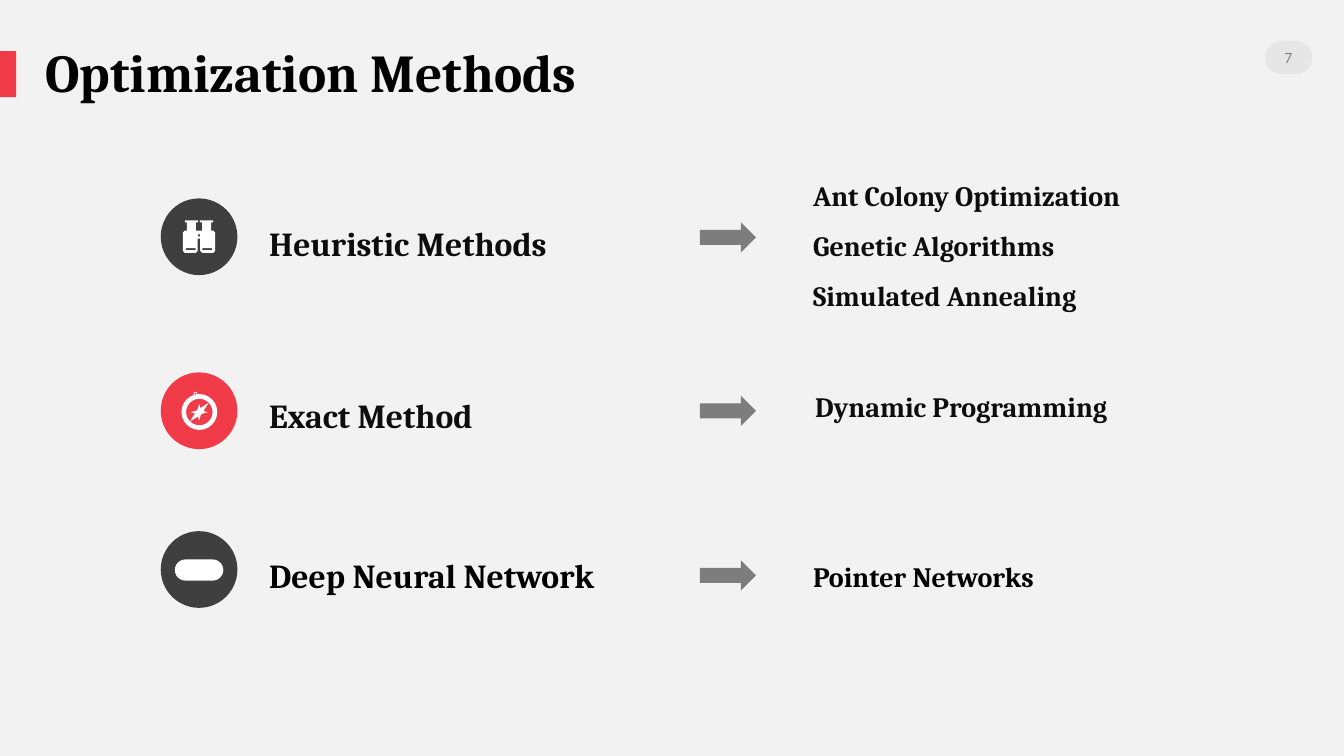
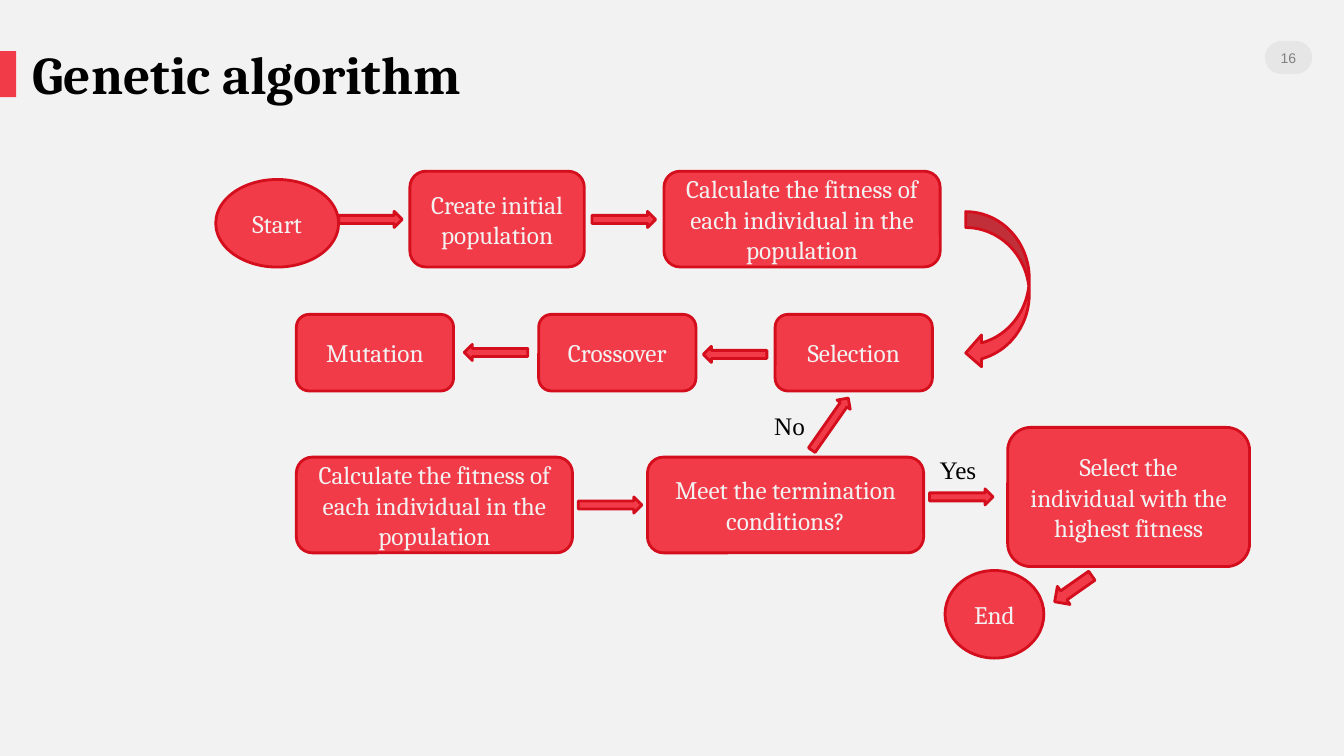
from dataclasses import dataclass

from lxml.etree import SubElement
from pptx import Presentation
from pptx.dml.color import RGBColor
from pptx.enum.shapes import MSO_SHAPE as KIND
from pptx.enum.text import MSO_ANCHOR, MSO_AUTO_SIZE, PP_ALIGN
from pptx.oxml.ns import qn
from pptx.util import Pt


@dataclass(frozen=True)
class Theme:
    paper: str = "F2F2F2"
    red: str = "F23B48"
    edge: str = "D40E1C"
    pill: str = "E7E6E6"
    dark: str = "3F3F3F"
    gray: str = "7D7D7D"
    mute: str = "808080"
    ink: str = "0D0D0D"
    black: str = "000000"
    white: str = "FFFFFF"
    serif: str = "Cambria"
    plain: str = "Times New Roman"
    head: int = 38
    label: int = 24
    item: int = 20
    node: int = 18
    note: int = 10


THEME = Theme()


def write(frame, text, size=THEME.node, font=THEME.serif, color=THEME.black,
          bold=False, align=PP_ALIGN.LEFT, anchor=MSO_ANCHOR.TOP,
          space=1.0, inset=(0, 0), list_off=False):
    frame.word_wrap = True
    frame.auto_size = MSO_AUTO_SIZE.NONE
    frame.vertical_anchor = anchor
    frame.margin_left = frame.margin_right = Pt(inset[0])
    frame.margin_top = frame.margin_bottom = Pt(inset[1])
    for i, line in enumerate(text.split("\n")):
        para = frame.add_paragraph() if i else frame.paragraphs[0]
        if list_off:
            props = para._p.get_or_add_pPr()
            props.set("marL", "0")
            props.set("indent", "0")
            SubElement(props, qn("a:buNone"))
        para.alignment = align
        para.line_spacing = space
        para.space_before = Pt(0)
        run = para.add_run()
        run.text = line
        run.font.size = Pt(size)
        run.font.name = font
        run.font.bold = bold
        run.font.color.rgb = RGBColor.from_string(color)


class Deck:
    """Build slides that share one theme."""

    def __init__(self, theme):
        self.theme = theme
        self.file = Presentation()
        self.file.slide_width, self.file.slide_height = Pt(960), Pt(540)
        self.slide = None

    def brand(self):
        master = self.file.slide_master
        fill = master.background.fill
        fill.solid()
        fill.fore_color.rgb = RGBColor.from_string(self.theme.paper)
        bar = self.shape(KIND.RECTANGLE, (0, 36.5, 11.5, 33), self.theme.red)
        pill = self.shape(KIND.ROUNDED_RECTANGLE, (903.6, 29.2, 33.8, 23.8),
                          self.theme.pill, adjust=0.5)
        for i, part in enumerate((bar, pill)):
            part.element.nvSpPr.cNvPr.set("id", str(50 + i))
            master.shapes.element.insert(2 + i, part.element)

    def page(self, layout, title, number, font, left, top):
        first = self.slide is None
        self.slide = self.file.slides.add_slide(self.file.slide_layouts[layout])
        if first:
            self.brand()
        head = self.slide.shapes.title
        self.place(head, (left, top, 816, 49))
        write(head.text_frame, title, size=self.theme.head, bold=True,
              space=0.9, inset=(3.6, 3.6))
        self.text((903.4, 29.4, 33.8, 23.8), number, size=self.theme.note,
                  font=font, color=self.theme.mute, align=PP_ALIGN.CENTER,
                  anchor=MSO_ANCHOR.MIDDLE)

    def place(self, shape, box):
        shape.left, shape.top, shape.width, shape.height = map(Pt, box)

    def text(self, box, text, **form):
        frame = self.slide.shapes.add_textbox(*map(Pt, box)).text_frame
        write(frame, text, **form)

    def list(self, box, text, **form):
        body = self.slide.placeholders[1]
        self.place(body, box)
        write(body.text_frame, text, list_off=True, **form)

    def paint(self, shape, fill, line=None, width=1):
        shape.shadow.inherit = False
        shape.fill.solid()
        shape.fill.fore_color.rgb = RGBColor.from_string(fill)
        if line:
            shape.line.color.rgb = RGBColor.from_string(line)
            shape.line.width = Pt(width)
        else:
            shape.line.fill.background()

    def shape(self, kind, box, fill, line=None, width=1, turn=0, adjust=None):
        shape = self.slide.shapes.add_shape(kind, *map(Pt, box))
        self.paint(shape, fill, line, width)
        shape.rotation = turn
        if adjust is not None:
            shape.adjustments[0] = adjust
        return shape

    def arrow(self, left, top):
        shape = self.shape(KIND.RIGHT_ARROW, (left, top, 38.9, 19.4),
                           self.theme.gray, self.theme.gray)
        edge = shape.element.spPr.find(qn("a:ln"))
        SubElement(edge, qn("a:miter")).set("lim", "800000")

    def trace(self, left, top, loops, fill):
        pen = None
        for loop in loops:
            spots = [(Pt(left + x), Pt(top + y)) for x, y in loop]
            if pen is None:
                pen = self.slide.shapes.build_freeform(*spots[0])
            else:
                pen.move_to(*spots[0])
            pen.add_line_segments(spots[1:], close=True)
        self.paint(pen.convert_to_shape(), fill)

    def flow(self, kind, box, turn=0):
        return self.shape(kind, box, self.theme.red, self.theme.edge, 2, turn)

    def node(self, kind, box, text):
        write(self.flow(kind, box).text_frame, text, color=self.theme.paper,
              align=PP_ALIGN.CENTER, anchor=MSO_ANCHOR.MIDDLE, inset=(7.2, 3.6))

    def disc(self, left, top, fill, parts, loops):
        self.shape(KIND.OVAL, (left, top, 54.8, 54.8), fill)
        for kind, (x, y, wide, high), turn, adjust in parts:
            self.shape(kind, (left + x, top + y, wide, high), self.theme.white,
                       turn=turn, adjust=adjust)
        if loops:
            self.trace(left, top, loops, self.theme.white)

    def save(self):
        self.file.save("out.pptx")


def flip(loop):
    return [(54.8 - x, y) for x, y in reversed(loop)]


def block(left, top, right, base):
    return [(left, top), (right, top), (right, base), (left, base)]


def lenses():
    half = [(27.4, 23), (25.2, 23), (25.2, 17.2), (18.7, 17.2), (18.7, 23),
            (17.2, 23), (15.8, 24.4), (15.8, 37.4), (17.2, 38.9),
            (25.2, 38.9), (26.5, 37.4), (26.5, 28.8), (27.4, 28.8)]
    cap = block(17.3, 15.8, 26.7, 17.2)
    slot = block(18, 35.6, 25, 37)
    dot = block(26.6, 25.8, 28.2, 27.2)
    return [half + flip(half), cap, flip(cap), slot, flip(slot), dot]


def methods(deck):
    deck.page(1, "Optimization Methods", "7", "Lato", 28.8, 29.5)
    compass = [
        (KIND.DONUT, (14.8, 15.5, 25.6, 25.6), 0, 0.13),
        (KIND.DONUT, (23.4, 13.9, 2.9, 2.9), 0, 0.2),
        (KIND.DIAMOND, (25.3, 19.1, 4.4, 18.8), 45, None),
        (KIND.STAR_4_POINT, (21.4, 22.4, 12.2, 12.2), 0, 0.15),
    ]
    badge = [(KIND.ROUNDED_RECTANGLE, (10.1, 20.2, 34.6, 15.1), 0, 0.5)]
    rows = [
        ("Heuristic Methods", 150.5, THEME.ink, 141.7, THEME.dark,
         [], lenses(), 159.9),
        ("Exact Method", 273.2, THEME.ink, 266, THEME.red, compass, [], 283.8),
        ("Deep Neural Network", 387.4, THEME.black, 379.4, THEME.dark,
         badge, [], 401.3),
    ]
    for name, top, color, disc, fill, parts, loops, arrow in rows:
        deck.disc(114.8, disc, fill, parts, loops)
        deck.text((192.3, top, 307, 34), name, size=THEME.label, color=color,
                  bold=True, space=1.3)
        deck.arrow(500.5, arrow)
    deck.list((580.8, 115.2, 267, 104.4),
              "Ant Colony Optimization\nGenetic Algorithms\nSimulated Annealing",
              size=THEME.item, color=THEME.ink, bold=True, space=1.5)
    deck.text((582.3, 277.9, 286, 28), "Dynamic Programming",
              size=THEME.item, color=THEME.ink, bold=True)
    deck.text((580.8, 392.4, 268, 28), "Pointer Networks",
              size=THEME.item, bold=True, space=1.3)


def genes(deck):
    deck.page(5, "Genetic algorithm", "16", "Arial", 19.8, 31.2)
    oval, card = KIND.OVAL, KIND.ROUNDED_RECTANGLE
    small, large = (112.3, 54.7), (197.3, 68.4)
    score = "Calculate the fitness of each individual in the population"
    nodes = [
        (oval, (154.1, 128.2), (87.8, 62.6), "Start"),
        (card, (292.8, 122.3), (124.6, 68.4), "Create initial population"),
        (card, (474.3, 122.3), large, score),
        (card, (553.7, 224.6), small, "Selection"),
        (card, (384.8, 224.6), small, "Crossover"),
        (card, (211.7, 224.6), small, "Mutation"),
        (card, (211.7, 326.5), large, score),
        (card, (462.5, 326.5), large, "Meet the termination conditions?"),
        (card, (719.8, 305.3), (172.8, 99.4),
         "Select the individual with the highest fitness"),
        (oval, (675, 407.5), (70.6, 62.6), "End"),
    ]
    for kind, spot, size, text in nodes:
        deck.node(kind, spot + size, text)
    slim = (45.4, 11.5)
    arrows = [
        ((241.9, 151), slim, 0),
        ((422.9, 151), slim, 0),
        ((502.4, 247.4), slim, 180),
        ((331.6, 246), slim, 180),
        ((413.1, 355), slim, 0),
        ((570.2, 297.2), slim, 305),
        ((664, 349.2), slim, 0),
        ((750.4, 412.6), (32.4, 15.8), 145),
    ]
    for spot, size, turn in arrows:
        deck.flow(KIND.RIGHT_ARROW, spot + size, turn)
    deck.flow(KIND.CURVED_LEFT_ARROW, (689.8, 151.2, 45.4, 112.3))
    for left, top, text in ((553, 293, "No"), (671.2, 324.7, "Yes")):
        deck.text((left, top, 40, 22), text, font=THEME.plain)


def main():
    deck = Deck(THEME)
    methods(deck)
    genes(deck)
    deck.save()


if __name__ == "__main__":
    main()
